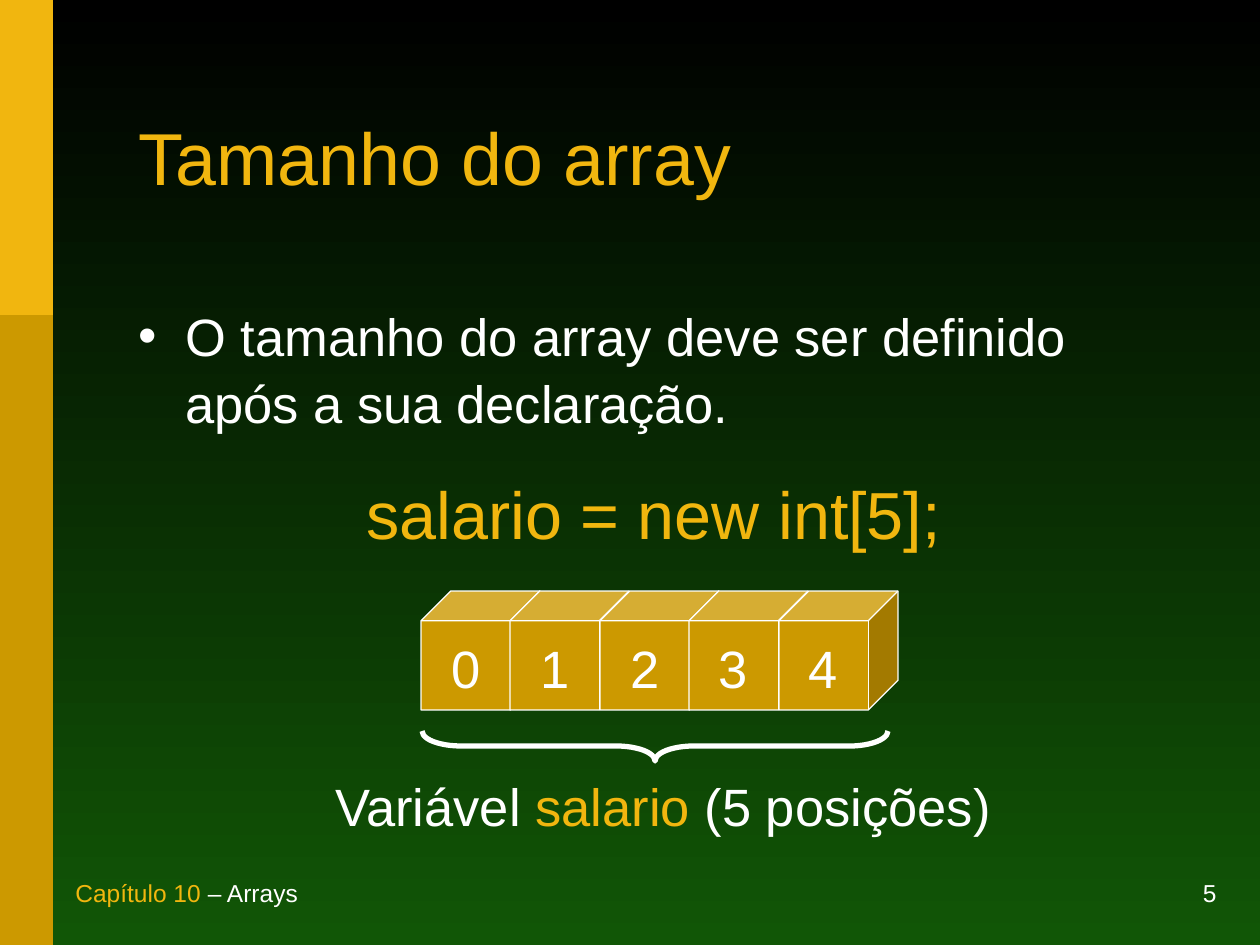
import pptx
import pptx.util
import pptx.dml.color
import pptx.enum.shapes
import pptx.enum.text
import pptx.oxml

PX = 914400 // 126
GOLD, OCHRE, WHITE = "F1B60F", "CC9900", "FFFFFF"
SHAPE = pptx.enum.shapes.MSO_SHAPE
ALIGN = pptx.enum.text.PP_ALIGN
ANCHOR = pptx.enum.text.MSO_ANCHOR


def rgb(code):
    return pptx.dml.color.RGBColor.from_string(code)


def emu(box):
    return [pptx.util.Emu(v * PX) for v in box]


def write(frame, runs, size, align=ALIGN.LEFT, anchor=ANCHOR.TOP, gap=1.0, wrap=True):
    """Fill a frame with one paragraph of (text, colour) runs."""
    frame.word_wrap = wrap
    frame.auto_size = pptx.enum.text.MSO_AUTO_SIZE.NONE
    frame.vertical_anchor = anchor
    para = frame.paragraphs[0]
    para.alignment = align
    para.line_spacing = gap
    para.font.size = pptx.util.Pt(size)
    para.font.name = "Arial"
    for text, color in runs:
        run = para.add_run()
        run.text = text
        run.font.color.rgb = rgb(color)
    return para


def label(slide, box, runs, size, **style):
    frame = slide.shapes.add_textbox(*emu(box)).text_frame
    return write(frame, runs, size, **style)


def block(slide, kind, box, fill=None, line=None, width=0.75):
    shape = slide.shapes.add_shape(kind, *emu(box))
    shape.shadow.inherit = False
    if fill:
        shape.fill.solid()
        shape.fill.fore_color.rgb = rgb(fill)
    else:
        shape.fill.background()
    if line:
        shape.line.color.rgb = rgb(line)
        shape.line.width = pptx.util.Pt(width)
    else:
        shape.line.fill.background()
    return shape


def backdrop(slide):
    fill = slide.background.fill
    fill.gradient()
    fill.gradient_angle = 270
    for stop, color, place in zip(fill.gradient_stops, ("000000", "115606"), (0, 1)):
        stop.color.rgb = rgb(color)
        stop.position = place


def sidebar(slide, box):
    left, top, width, height = box
    block(slide, SHAPE.RECTANGLE, box, OCHRE)
    block(slide, SHAPE.RECTANGLE, (left, top, width, height // 3), GOLD)


def footer(slide, box):
    left, top, width, height = box
    half = 315
    label(slide, (left + width - half, top, half, height), [("5", WHITE)], 14,
          align=ALIGN.RIGHT, anchor=ANCHOR.BOTTOM)
    label(slide, (left, top, half, height),
          [("Capítulo 10", GOLD), (" – Arrays", WHITE)], 14, anchor=ANCHOR.BOTTOM)


def heading(slide, box):
    title = slide.shapes.title
    title.left, title.top, title.width, title.height = emu(box)
    write(title.text_frame, [("Tamanho do array", GOLD)], 42,
          anchor=ANCHOR.MIDDLE, gap=0.85)


def bullet(slide, box):
    text = "O tamanho do array deve ser definido após a sua declaração."
    para = label(slide, box, [(text, WHITE)], 30, gap=1.06)
    props = para._p.get_or_add_pPr()
    indent = 47 * PX
    props.set("marL", str(indent))
    props.set("indent", str(-indent))
    space = 'xmlns:a="http://schemas.openxmlformats.org/drawingml/2006/main"'
    marks = (f'<a:buClr {space}><a:srgbClr val="{WHITE}"/></a:buClr>',
             f'<a:buFont {space} typeface="Arial"/>',
             f'<a:buChar {space} char="•"/>')
    spot = props.index(props.find(pptx.oxml.ns.qn("a:defRPr")))
    for step, mark in enumerate(marks):
        props.insert(spot + step, pptx.oxml.parse_xml(mark))


def cells(slide, box, count):
    """Overlap a row of cubes so that only the last shows its side."""
    left, top, width, side = box
    for index in range(count):
        x = left + (width - side) * index // (count - 1)
        cube = block(slide, SHAPE.CUBE, (x, top, side, side), OCHRE, WHITE)
        cube.adjustments[0] = 0.25
        write(cube.text_frame, [(str(index), WHITE)], 30, align=ALIGN.CENTER,
              anchor=ANCHOR.MIDDLE, gap=1.06)


def brace(slide, box):
    """Turn a right brace a quarter so that it fills the box, point down."""
    left, top, width, height = box
    shift = (width - height) // 2
    shape = block(slide, SHAPE.RIGHT_BRACE,
                  (left + shift, top - shift, height, width), None, WHITE, 3)
    shape.adjustments[0] = 1.29
    shape.rotation = 90


def diagram(slide, box):
    left, top, width, height = box
    style = dict(align=ALIGN.CENTER, gap=1.06, wrap=False)
    cells(slide, (left + 100, top + 129, 477, 119), 5)
    label(slide, (left + 33, top, 600, 93), [("salario = new int[5];", GOLD)], 38, **style)
    brace(slide, (left + 101, top + 269, 466, 30))
    label(slide, (left, top + 302, width, 76),
          [("Variável ", WHITE), ("salario", GOLD), (" (5 posições)", WHITE)], 30, **style)


def main():
    deck = pptx.Presentation()
    deck.slide_width, deck.slide_height = emu((1260, 945))
    slide = deck.slides.add_slide(deck.slide_layouts[5])
    backdrop(slide)
    sidebar(slide, (0, 0, 53, 945))
    footer(slide, (63, 882, 1166, 32))
    heading(slide, (126, 84, 1040, 158))
    bullet(slide, (126, 294, 1040, 149))
    diagram(slide, (321, 462, 684, 378))
    deck.save("out.pptx")


if __name__ == "__main__":
    main()
